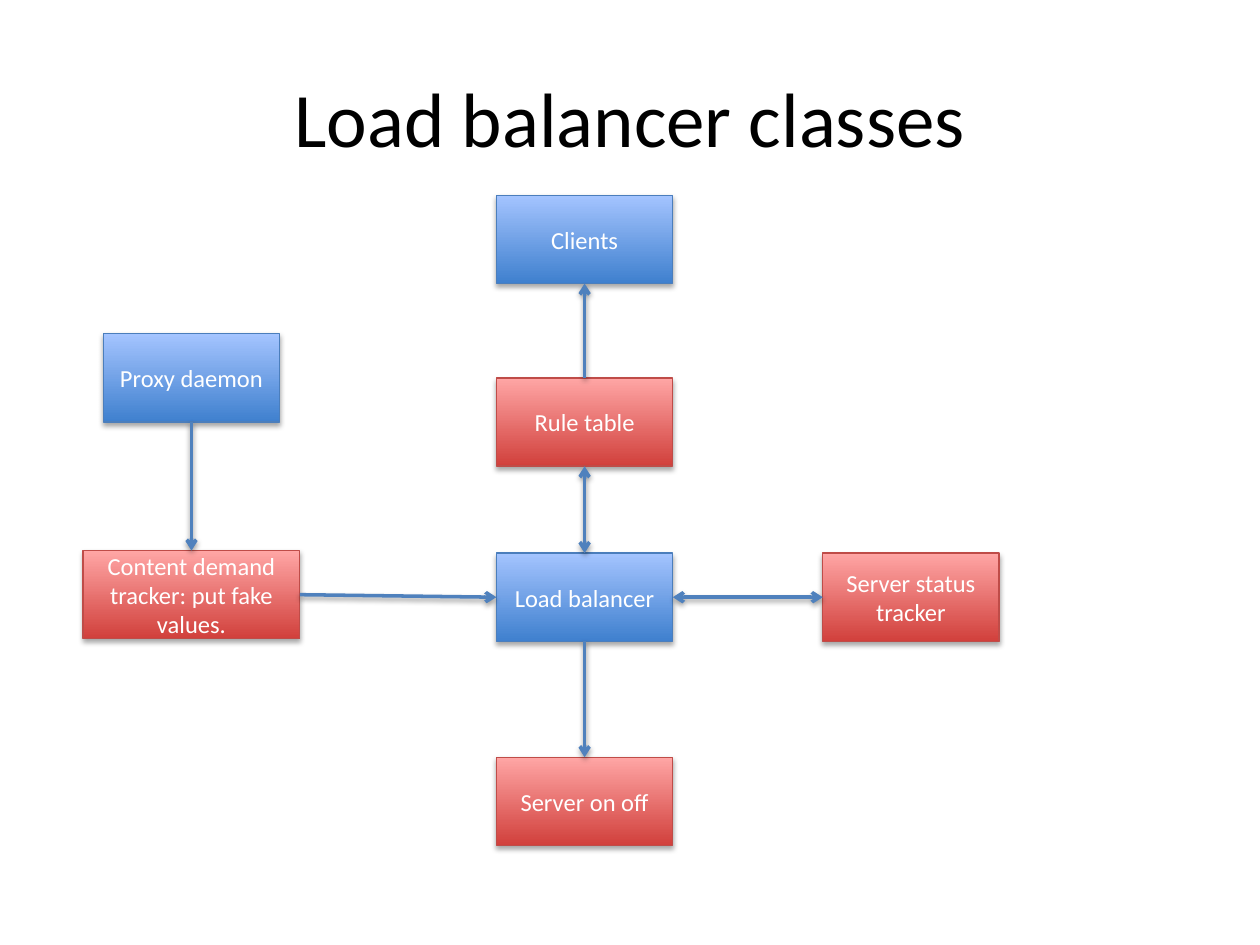
from lxml import etree
from pptx import Presentation
from pptx.dml.color import RGBColor
from pptx.enum.shapes import MSO_CONNECTOR, MSO_SHAPE
from pptx.enum.text import MSO_ANCHOR, PP_ALIGN
from pptx.oxml import parse_xml
from pptx.oxml.ns import nsdecls, qn
from pptx.util import Inches, Pt

FONT = "Calibri"
BLACK = RGBColor(0x00, 0x00, 0x00)
WHITE = RGBColor(0xFF, 0xFF, 0xFF)
ARROW_BLUE = RGBColor(0x4F, 0x81, 0xBD)
# Each scheme: gradient bottom, gradient top, outline
BLUE = (RGBColor(0x3F, 0x80, 0xCE), RGBColor(0xA4, 0xC4, 0xFF), RGBColor(0x4B, 0x7E, 0xBC))
RED = (RGBColor(0xD1, 0x40, 0x3C), RGBColor(0xFF, 0xA6, 0xA5), RGBColor(0xBF, 0x4C, 0x48))

BOX_WIDTH, BOX_HEIGHT = 1.4, 0.7
CENTER_LEFT, BALANCER_TOP = 3.94, 4.39
TOP, LEFT, BOTTOM, RIGHT = range(4)


def add_shadow(shape, distance, opacity):
    """Drop a soft black shadow straight down."""
    shape._element.spPr.append(parse_xml(
        f'<a:effectLst {nsdecls("a")}>'
        f'<a:outerShdw blurRad="{Pt(3.1)}" dist="{Pt(distance)}" dir="5400000" rotWithShape="0">'
        f'<a:srgbClr val="000000"><a:alpha val="{opacity * 1000}"/></a:srgbClr>'
        '</a:outerShdw></a:effectLst>'))


presentation = Presentation()
presentation.slide_width = Inches(10)
presentation.slide_height = Inches(7.5)
slide = presentation.slides.add_slide(presentation.slide_layouts[5])

# Title
title = slide.shapes.title
title.left, title.top, title.width, title.height = (
    Inches(value) for value in (0.5, 0.3, 9, 1.25))
title.text_frame.text = "Load balancer classes"
title.text_frame.vertical_anchor = MSO_ANCHOR.MIDDLE
paragraph = title.text_frame.paragraphs[0]
paragraph.alignment = PP_ALIGN.CENTER
paragraph.font.name = FONT
paragraph.font.size = Pt(44)
paragraph.font.color.rgb = BLACK

# Class boxes: text, left, top, width, colour scheme
box_rows = [
    ("Load balancer", CENTER_LEFT, BALANCER_TOP, BOX_WIDTH, BLUE),
    ("Content demand tracker: put fake values.", 0.66, 4.37, 1.72, RED),
    ("Rule table", CENTER_LEFT, 3, BOX_WIDTH, RED),
    ("Server status tracker", 6.53, BALANCER_TOP, BOX_WIDTH, RED),
    ("Server on off", CENTER_LEFT, 6.01, BOX_WIDTH, RED),
    ("Clients", CENTER_LEFT, 1.55, BOX_WIDTH, BLUE),
    ("Proxy daemon", 0.82, 2.65, BOX_WIDTH, BLUE),
]
boxes = []
for text, left, top, width, (bottom_color, top_color, outline) in box_rows:
    box = slide.shapes.add_shape(MSO_SHAPE.RECTANGLE, Inches(left), Inches(top),
                                 Inches(width), Inches(BOX_HEIGHT))
    box.fill.gradient()
    box.fill.gradient_angle = 90
    for stop, color, position in zip(box.fill.gradient_stops, (bottom_color, top_color), (0, 1)):
        stop.color.rgb = color
        stop.position = position
    box.line.color.rgb = outline
    box.line.width = Pt(0.75)
    add_shadow(box, 1.8, 35)
    box.text_frame.text = text
    box.text_frame.word_wrap = True
    box.text_frame.vertical_anchor = MSO_ANCHOR.MIDDLE
    paragraph = box.text_frame.paragraphs[0]
    paragraph.alignment = PP_ALIGN.CENTER
    paragraph.font.name = FONT
    paragraph.font.size = Pt(14)
    paragraph.font.color.rgb = WHITE
    boxes.append(box)
balancer, demand_tracker, rule_table, status_tracker, server_switch, clients, proxy = boxes

# Arrows: start box and side, end box and side, ends with an arrowhead
arrow_rows = [
    (proxy, BOTTOM, demand_tracker, TOP, ["tailEnd"]),
    (demand_tracker, RIGHT, balancer, LEFT, ["tailEnd"]),
    (balancer, BOTTOM, server_switch, TOP, ["tailEnd"]),
    (balancer, RIGHT, status_tracker, LEFT, ["headEnd", "tailEnd"]),
    (balancer, TOP, rule_table, BOTTOM, ["headEnd", "tailEnd"]),
    (clients, BOTTOM, rule_table, TOP, ["headEnd"]),
]
for start, start_side, end, end_side, arrowheads in arrow_rows:
    arrow = slide.shapes.add_connector(MSO_CONNECTOR.STRAIGHT, 0, 0, 0, 0)
    arrow.begin_connect(start, start_side)
    arrow.end_connect(end, end_side)
    arrow.line.color.rgb = ARROW_BLUE
    arrow.line.width = Pt(2)
    line_element = arrow._element.spPr.find(qn("a:ln"))
    for arrowhead in arrowheads:
        etree.SubElement(line_element, qn(f"a:{arrowhead}"), type="arrow")
    add_shadow(arrow, 1.6, 38)

presentation.save("out.pptx")
